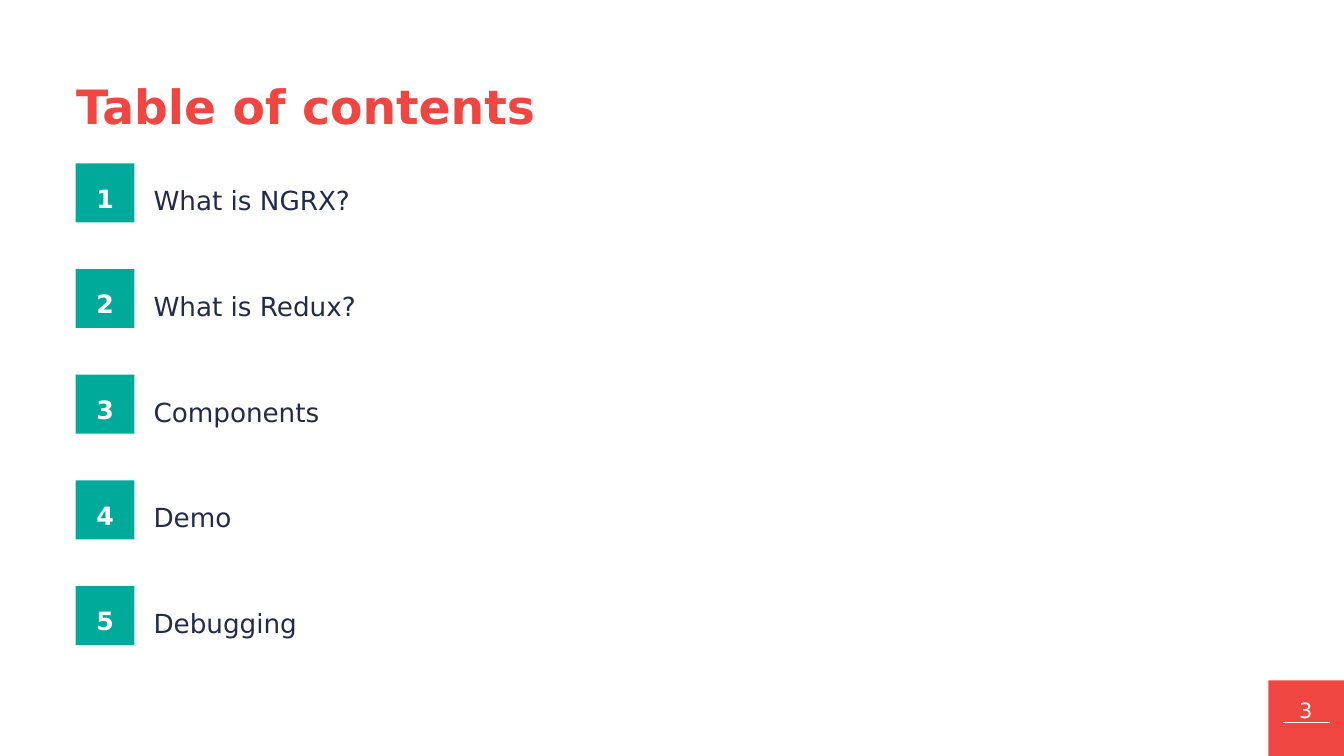
from pptx import Presentation
from pptx.dml.color import RGBColor
from pptx.enum.shapes import MSO_CONNECTOR, MSO_SHAPE
from pptx.enum.text import MSO_ANCHOR as Anchor, MSO_AUTO_SIZE as AutoSize, PP_ALIGN as Align
from pptx.oxml.ns import qn
from pptx.util import Cm, Pt
from lxml.etree import SubElement

# Content
TITLE = "Table of contents"
TOPICS = ["What is NGRX?", "What is Redux?", "Components", "Demo", "Debugging"]
PAGE_NUMBER = "3"

# Look
FONT = "DejaVu Sans"
RED, TEAL, NAVY, WHITE = "EF4641", "00AA9B", "222C4A", "FFFFFF"
TITLE_FONT = {"size": Pt(45), "bold": True}
NUMBER_FONT = {"size": Pt(24), "bold": True}
TOPIC_FONT = {"size": Pt(25), "bold": False}
PAGE_FONT = {"size": Pt(20), "bold": False}
NUMBER_PARA = {"alignment": Align.CENTER, "line_spacing": 1.1,
               "space_before": Pt(16.1), "space_after": Pt(6.2)}
TOPIC_PARA = {"line_spacing": 1.1, "space_before": Pt(1), "space_after": Pt(6.2)}

# Layout in cm
SLIDE_W, SLIDE_H = 45.16, 25.4
LIST_LEFT, LIST_TOP, PITCH = 2.54, 5.49, 3.55
SQUARE = 1.98
TOPIC_LEFT, TOPIC_DROP = 5.11, 0.65
CORNER = 2.54
INDENT = 0.05


def color(hex_value):
    return RGBColor.from_string(hex_value)


def set_all(target, values):
    for name, value in values.items():
        setattr(target, name, value)


def write(shape, text, ink, font, para, inset=0, anchor=Anchor.TOP, indent=0):
    frame = shape.text_frame
    set_all(frame, {"word_wrap": True, "vertical_anchor": anchor,
                    "margin_left": 0, "margin_right": 0,
                    "margin_top": Cm(inset), "margin_bottom": 0})
    line = frame.paragraphs[0]
    set_all(line, para)
    if indent:
        line._p.get_or_add_pPr().set("marL", str(Cm(indent)))
    run = line.add_run()
    run.text = text
    set_all(run.font, {"name": FONT, **font})
    run.font.color.rgb = color(ink)
    return frame


def add_block(left, top, side, fill):
    block = slide.shapes.add_shape(MSO_SHAPE.RECTANGLE, Cm(left), Cm(top), Cm(side), Cm(side))
    block.shadow.inherit = False
    block.fill.solid()
    block.fill.fore_color.rgb = color(fill)
    block.line.fill.background()
    return block


def add_text(left, top, width, height):
    return slide.shapes.add_textbox(Cm(left), Cm(top), Cm(width), Cm(height))


deck = Presentation()
deck.slide_width, deck.slide_height = Cm(SLIDE_W), Cm(SLIDE_H)
slide = deck.slides.add_slide(deck.slide_layouts[6])

# Page number in the corner, underlined
add_block(SLIDE_W - CORNER, SLIDE_H - CORNER, CORNER, RED)
write(add_text(42.93, 23.34, 1.9, 0.79), PAGE_NUMBER, WHITE, PAGE_FONT,
      {"alignment": Align.CENTER, "space_before": Pt(2)}, inset=0.08)
underline = slide.shapes.add_connector(
    MSO_CONNECTOR.STRAIGHT, Cm(43.1), Cm(24.26), Cm(44.68), Cm(24.26))
underline.line.color.rgb = color(WHITE)
underline.line.width = Pt(0.5)
SubElement(underline._element.spPr, qn("a:effectLst"))

# Title
write(add_text(2.51, 2.59, 33.38, 2.87), TITLE, RED, TITLE_FONT,
      {"space_before": Pt(1)}, indent=INDENT)

# Numbered topics
for index, topic in enumerate(TOPICS):
    top = LIST_TOP + index * PITCH
    write(add_block(LIST_LEFT, top, SQUARE, TEAL), str(index + 1), WHITE,
          NUMBER_FONT, NUMBER_PARA, inset=0.56)
    topic_frame = write(add_text(TOPIC_LEFT, top + TOPIC_DROP, 15.54, 1.12), topic, NAVY,
                        TOPIC_FONT, TOPIC_PARA, inset=0.05, anchor=Anchor.BOTTOM, indent=INDENT)
    topic_frame.auto_size = AutoSize.SHAPE_TO_FIT_TEXT

deck.save("out.pptx")
